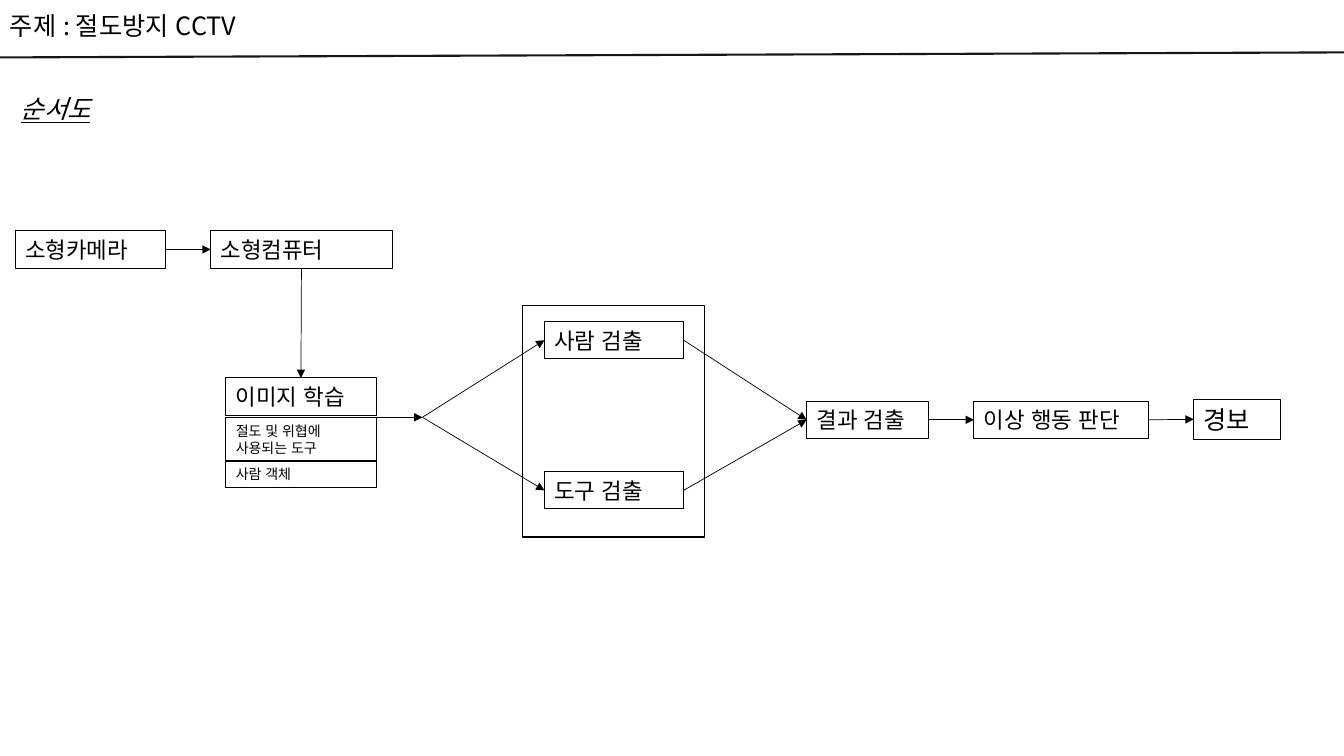
from lxml.etree import SubElement
from pptx import Presentation
from pptx.dml.color import RGBColor
from pptx.enum.lang import MSO_LANGUAGE_ID as Language
from pptx.enum.shapes import MSO_CONNECTOR as Connector, MSO_SHAPE as Shape
from pptx.enum.text import MSO_ANCHOR as Anchor, PP_ALIGN as Align
from pptx.oxml.ns import qn
from pptx.util import Inches, Pt

TOP, LEFT, BOTTOM, RIGHT = range(4)


def color(value):
    return RGBColor.from_string(value)


class Flowchart:
    """Draws outlined boxes, arrows and labels on one slide in a shared style."""

    font = "Noto Sans CJK KR"
    ink = "000000"

    def __init__(self, slide):
        self.shapes = slide.shapes

    def add_text(self, frame, text, size, anchor, emphasis=False):
        frame.word_wrap = True
        frame.vertical_anchor = anchor
        paragraph = frame.paragraphs[0]
        paragraph.alignment = Align.LEFT
        run = paragraph.add_run()
        run.text = text
        run.font.name = self.font
        run.font.size = Pt(size)
        run.font.color.rgb = color(self.ink)
        run.font.language_id = Language.KOREAN
        if emphasis:
            run.font.italic = run.font.underline = True
        SubElement(run.font._element, qn("a:ea"), typeface=self.font)

    def label(self, left, top, width, height, text, emphasis=False):
        area = self.shapes.add_textbox(*map(Inches, (left, top, width, height)))
        self.add_text(area.text_frame, text, 18, Anchor.TOP, emphasis)

    def box(self, left, top, width, height, text="", size=16, weight=0.75):
        step = self.shapes.add_shape(Shape.RECTANGLE, *map(Inches, (left, top, width, height)))
        step.shadow.inherit = False
        step.fill.background()
        step.line.color.rgb = color(self.ink)
        step.line.width = Pt(weight)
        if text:
            self.add_text(step.text_frame, text, size, Anchor.MIDDLE)
        return step

    def line(self, start, end, weight, ink):
        link = self.shapes.add_connector(Connector.STRAIGHT, *map(Inches, (*start, *end)))
        link.line.color.rgb = color(ink)
        link.line.width = Pt(weight)
        SubElement(link._element.spPr, qn("a:effectLst"))
        return link

    def arrow(self, source, target, source_side=RIGHT, target_side=LEFT):
        ends = [end if isinstance(end, tuple) else (0, 0) for end in (source, target)]
        link = self.line(*ends, 0.5, self.ink)
        if not isinstance(source, tuple):
            link.begin_connect(source, source_side)
        if not isinstance(target, tuple):
            link.end_connect(target, target_side)
        SubElement(link.line._get_or_add_ln(), qn("a:tailEnd"), type="triangle")


def main():
    deck = Presentation()
    deck.slide_width, deck.slide_height = Inches(13.33), Inches(7.5)
    chart = Flowchart(deck.slides.add_slide(deck.slide_layouts[6]))

    chart.label(0, 0.05, 4.4, 1.01, "주제 : 절도방지 CCTV")
    chart.line((0, 0.57), (13.33, 0.52), 1.5, "181717")
    chart.label(0.11, 0.88, 2.11, 0.4, "순서도", emphasis=True)

    camera = chart.box(0.15, 2.29, 1.49, 0.37, "소형카메라")
    computer = chart.box(2.09, 2.29, 1.8, 0.37, "소형컴퓨터")
    training = chart.box(2.24, 3.75, 1.49, 0.37, "이미지 학습")
    chart.box(2.24, 4.14, 1.49, 0.44, "절도 및 위협에 사용되는 도구", 10)
    chart.box(2.24, 4.57, 1.49, 0.27, "사람 객체", 10)
    chart.box(5.18, 3.03, 1.81, 2.3, weight=1)
    detections = [
        chart.box(5.4, top, 1.38, 0.37, text)
        for top, text in ((3.19, "사람 검출"), (4.68, "도구 검출"))
    ]
    result = chart.box(8, 3.98, 1.21, 0.37, "결과 검출")
    judgement = chart.box(9.66, 3.98, 1.73, 0.37, "이상 행동 판단")
    alarm = chart.box(11.84, 3.96, 0.86, 0.4, "경보", 18)

    fork = (4.19, 4.14)
    chart.arrow(camera, computer)
    chart.arrow(computer, training, BOTTOM, TOP)
    chart.arrow((3.74, 4.14), fork)
    for detection in detections:
        chart.arrow(fork, detection)
        chart.arrow(detection, result)
    chart.arrow(result, judgement)
    chart.arrow(judgement, alarm)

    deck.save("out.pptx")


if __name__ == "__main__":
    main()
